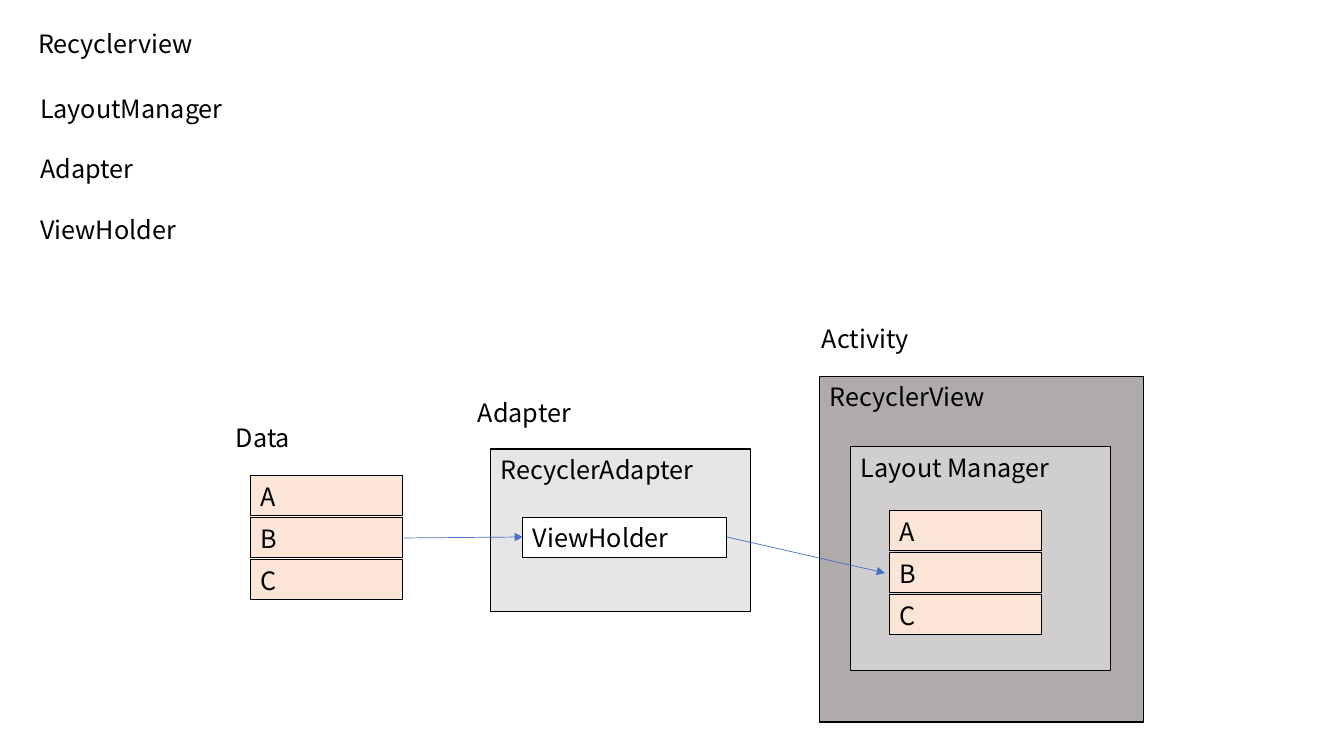
from pptx import Presentation
from pptx.dml.color import RGBColor
from pptx.enum.shapes import MSO_CONNECTOR, MSO_SHAPE
from pptx.enum.text import MSO_ANCHOR, MSO_AUTO_SIZE, PP_ALIGN
from pptx.oxml.ns import qn
from pptx.util import Pt
from lxml.etree import SubElement

COLORS = {
    "ink": "000000",
    "item": "FBE5D6",
    "holder": "FFFFFF",
    "adapter": "E7E6E6",
    "manager": "D0CECE",
    "recycler": "AFABAB",
    "arrow": "4472C4",
}
PIXEL = 914400 / 100.8
ROW_HEIGHT = 40
ROW_PITCH = 42
ROW_WIDTH = 152


def px(*lengths):
    return [round(length * PIXEL) for length in lengths]


class Diagram:
    font = "Noto Sans CJK KR"
    size = Pt(18)

    def __init__(self, slide):
        self.slide = slide

    def color(self, name):
        return RGBColor.from_string(COLORS[name])

    def add_lines(self, shape, lines, gap=0):
        frame = shape.text_frame
        frame.word_wrap = True
        frame.auto_size = MSO_AUTO_SIZE.NONE
        frame.vertical_anchor = MSO_ANCHOR.TOP
        for index, line in enumerate(lines):
            paragraph = frame.add_paragraph() if index else frame.paragraphs[0]
            paragraph.alignment = PP_ALIGN.LEFT
            paragraph.space_before = Pt(gap if index else 0)
            run = paragraph.add_run()
            run.text = line
            run.font.name = self.font
            run.font.size = self.size
            run.font.color.rgb = self.color("ink")

    def placeholder(self, index, box, lines, gap=0):
        holder = self.slide.placeholders[index]
        holder.left, holder.top, holder.width, holder.height = px(*box)
        self.add_lines(holder, lines, gap)
        for paragraph in holder.text_frame.paragraphs:
            properties = paragraph._p.get_or_add_pPr()
            properties.set("marL", "0")
            properties.set("indent", "0")
            SubElement(properties, qn("a:buNone"))

    def label(self, left, top, text):
        caption = self.slide.shapes.add_textbox(*px(left, top, ROW_WIDTH, ROW_HEIGHT))
        self.add_lines(caption, [text])

    def box(self, box, fill, text):
        panel = self.slide.shapes.add_shape(MSO_SHAPE.RECTANGLE, *px(*box))
        panel.shadow.inherit = False
        panel.fill.solid()
        panel.fill.fore_color.rgb = self.color(fill)
        panel.line.color.rgb = self.color("ink")
        panel.line.width = Pt(0.75)
        self.add_lines(panel, [text])

    def items(self, left, top):
        for row, letter in enumerate("ABC"):
            self.box((left, top + row * ROW_PITCH, ROW_WIDTH, ROW_HEIGHT), "item", letter)

    def arrow(self, *ends):
        link = self.slide.shapes.add_connector(MSO_CONNECTOR.STRAIGHT, *px(*ends))
        link.line.color.rgb = self.color("arrow")
        link.line.width = Pt(0.5)
        SubElement(link.line._get_or_add_ln(), qn("a:tailEnd"), type="triangle")
        SubElement(link._element.spPr, qn("a:effectLst"))


deck = Presentation()
deck.slide_width, deck.slide_height = px(1344, 756)
diagram = Diagram(deck.slides.add_slide(deck.slide_layouts[1]))

diagram.placeholder(0, (28, 23, 524, 40), ["Recyclerview"])
diagram.placeholder(1, (30, 88, 1116, 194), ["LayoutManager", "Adapter", "ViewHolder"], gap=21.6)

diagram.label(226, 417, "Data")
diagram.items(251, 476)

diagram.label(468, 392, "Adapter")
diagram.box((491, 449, 260, 163), "adapter", "RecyclerAdapter")
diagram.box((523, 517, 204, 41), "holder", "ViewHolder")

diagram.label(812, 318, "Activity")
diagram.box((820, 376, 324, 346), "recycler", "RecyclerView")
diagram.box((851, 447, 260, 224), "manager", "Layout Manager")
diagram.items(890, 511)

diagram.arrow(404, 538, 523, 537)
diagram.arrow(727, 537, 885, 573)

deck.save("out.pptx")
